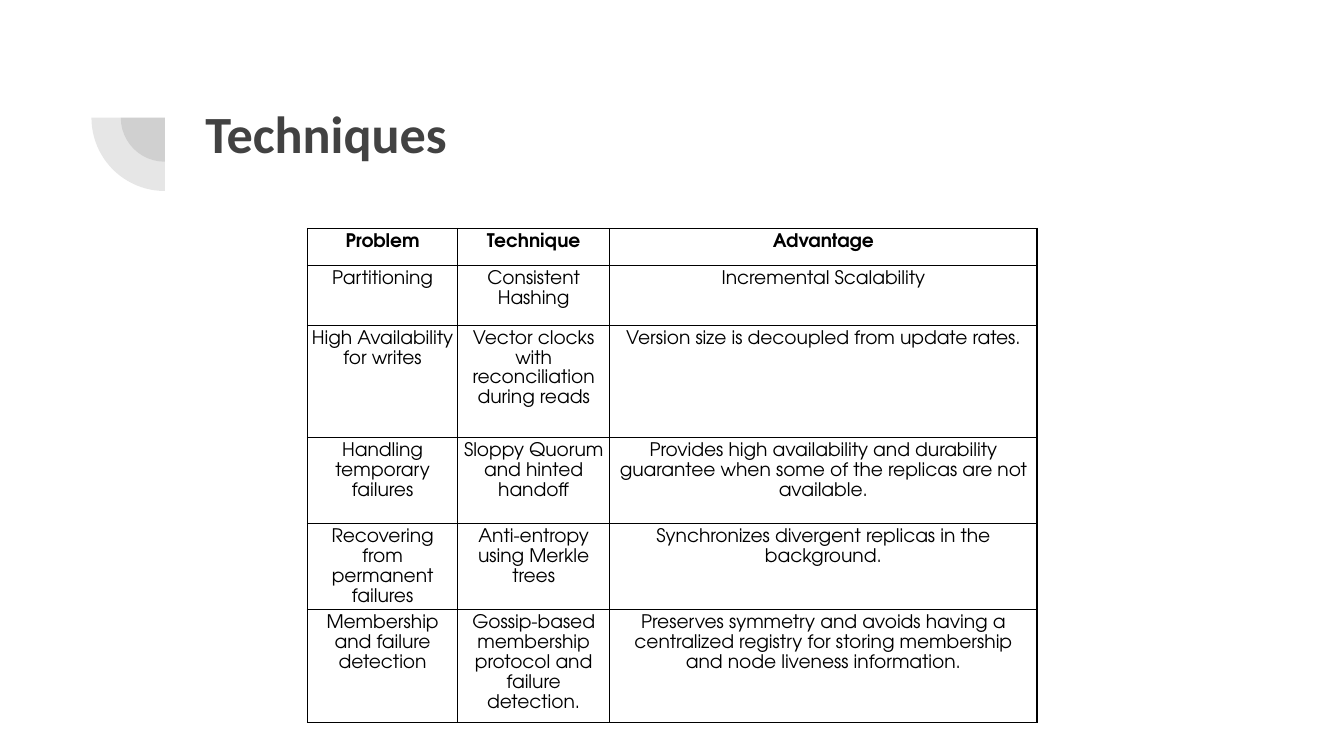
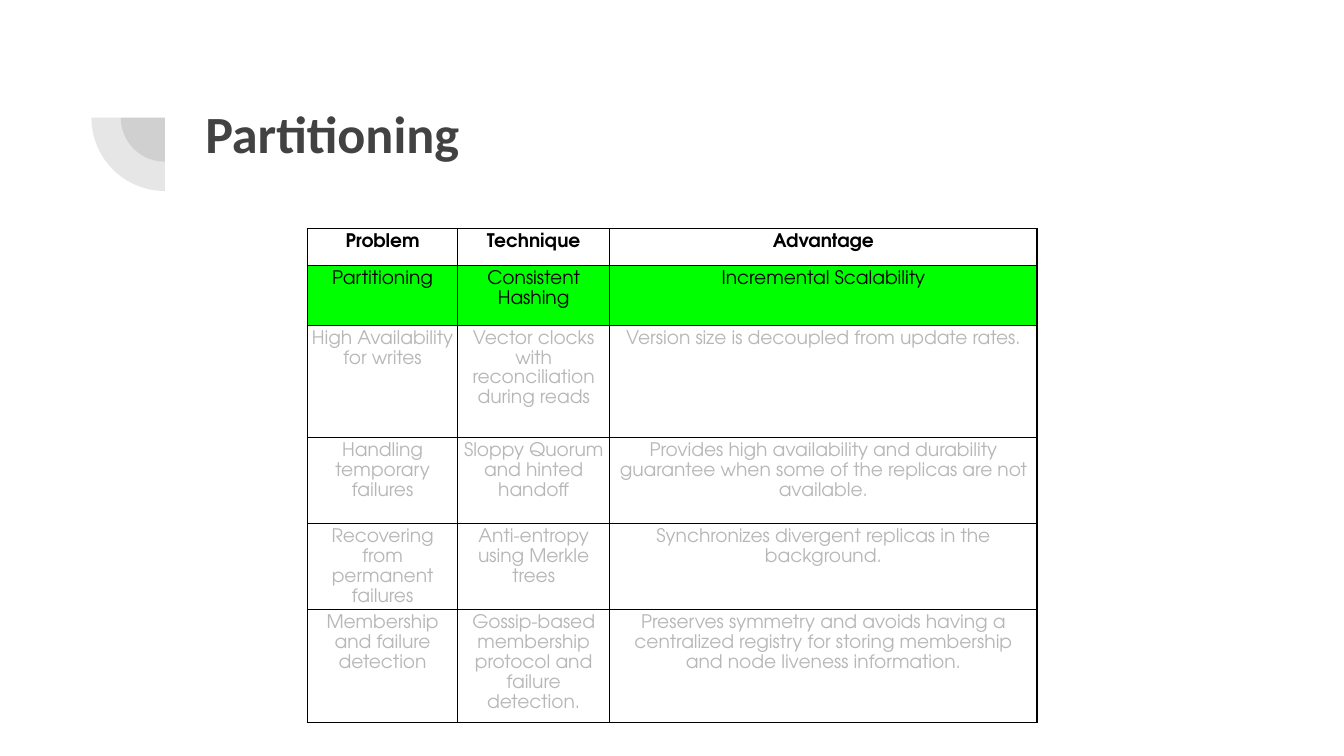
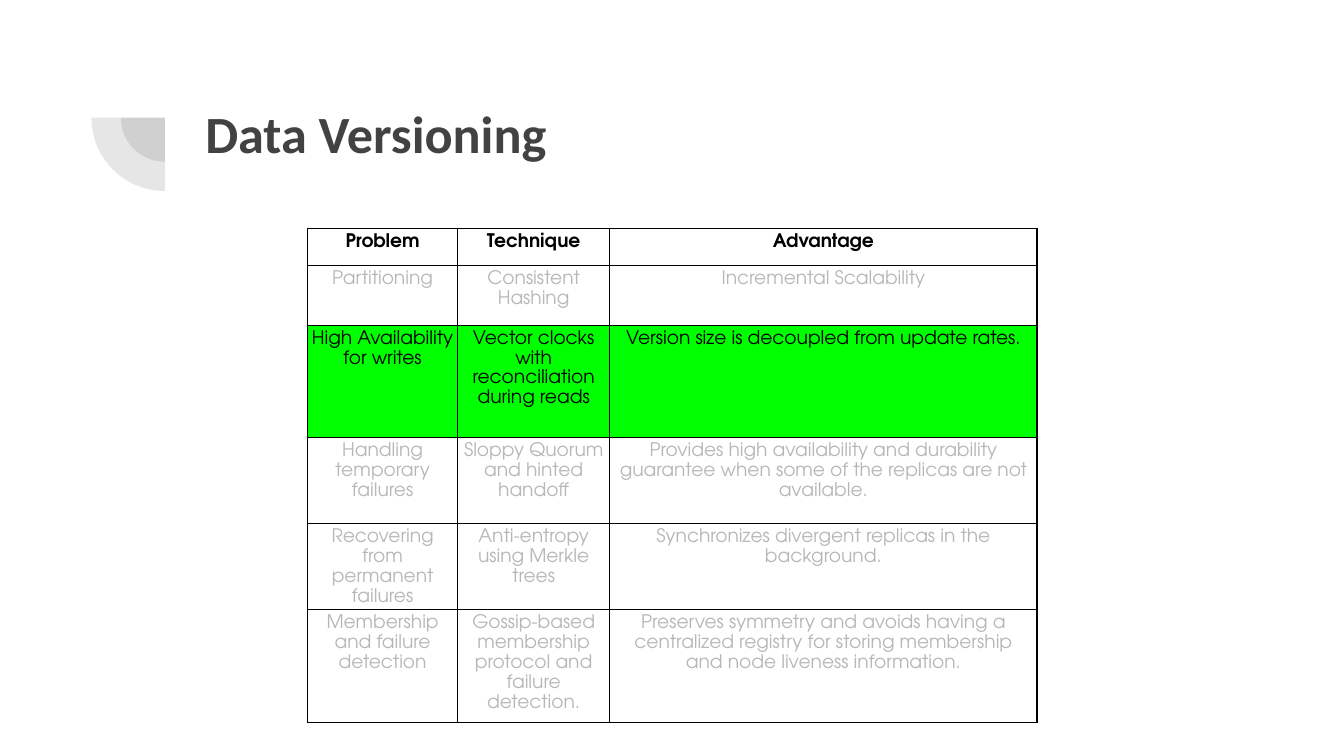
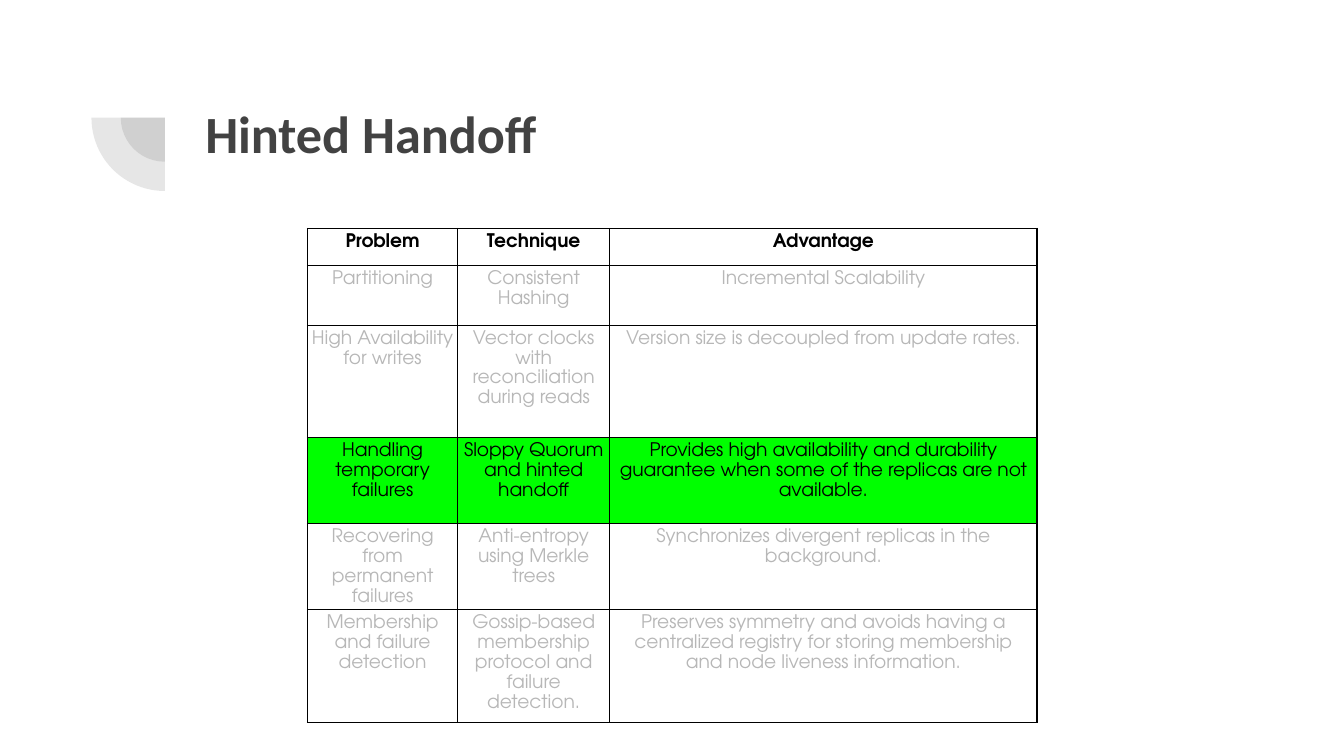
from dataclasses import dataclass

from lxml import etree
from pptx import Presentation
from pptx.dml.color import RGBColor
from pptx.enum.shapes import MSO_SHAPE
from pptx.enum.text import MSO_ANCHOR, PP_ALIGN
from pptx.oxml.ns import qn
from pptx.util import Cm, Pt

PIE = MSO_SHAPE.PIE
TOP = MSO_ANCHOR.TOP
LEFT = PP_ALIGN.LEFT
MID = PP_ALIGN.CENTER


@dataclass(frozen=True)
class Theme:
    """Colours, fonts and type sizes of the deck."""
    ink: str = "424242"
    text: str = "000000"
    faint: str = "B7B7B7"
    mark: str = "00FF00"
    head: str = "Calibri"
    body: str = "TeX Gyre Adventor"
    big: float = 28
    small: float = 10
    pitch: float = 10.65
    rule: float = 0.75
    alpha: int = 13


THEME = Theme()
PAGE = (25.4, 14.29)
BADGE = (1.73, 0.84, 2.77, 2.77)
TITLE = (3.63, 1.67, 19.53, 2.77)
COLS = (2.84, 2.87, 8.08)
ROWS = (0.7, 1.13, 2.12, 1.63, 1.63, 2.13)
GRID = (5.81, 4.32, sum(COLS), sum(ROWS))
ARCS = ((0.2, 0.2, 0.6), (0, 0, 1))

INSET = {f"margin_{side}": Cm(0.25) for side in ("left", "right", "top", "bottom")}
FRAME = INSET | {"word_wrap": True, "vertical_anchor": TOP}
CELL = {
    "margin_left": Cm(0.08), "margin_right": Cm(0.08),
    "margin_top": Cm(0.05), "margin_bottom": Cm(0.05),
    "vertical_anchor": TOP,
}
PLAIN = {"first_row": False, "horz_banding": False}

DATA = (
    ("Problem", "Technique", "Advantage"),
    ("Partitioning", "Consistent Hashing", "Incremental Scalability"),
    ("High Availability for writes",
     "Vector clocks with reconciliation during reads",
     "Version size is decoupled from update rates."),
    ("Handling temporary failures",
     "Sloppy Quorum and hinted handoff",
     "Provides high availability and durability guarantee when some of "
     "the replicas are not available."),
    ("Recovering from permanent failures",
     "Anti-entropy using Merkle trees",
     "Synchronizes divergent replicas in the background."),
    ("Membership and failure detection",
     "Gossip-based membership protocol and failure detection.",
     "Preserves symmetry and avoids having a centralized registry for "
     "storing membership and node liveness information."),
)

SLIDES = (
    ("Techniques", None),
    ("Partitioning", 1),
    ("Data Versioning", 2),
    ("Hinted Handoff", 3),
)


def dress(item, values):
    """Set each attribute named in values on the item."""
    for name, value in values.items():
        setattr(item, name, value)


def write(frame, text, font, tone, para):
    """Put one formatted paragraph into a text frame."""
    line = frame.paragraphs[0]
    dress(line, para)
    run = line.add_run()
    run.text = text
    dress(run.font, font)
    run.font.color.rgb = RGBColor.from_string(tone)


def draw_badge(slide, box):
    """Draw the two concentric quarter rings in the box."""
    left, top, size, _ = box
    group = slide.shapes.add_group_shape()
    for dx, dy, part in ARCS:
        arc = group.shapes.add_shape(
            PIE, Cm(left + dx * size), Cm(top + dy * size),
            Cm(part * size), Cm(part * size))
        arc.adjustments[0] = 107.93
        arc.adjustments[1] = 162
        arc.rotation = 270
        arc.shadow.inherit = False
        arc.line.fill.background()
        arc.fill.solid()
        arc.fill.fore_color.rgb = RGBColor.from_string(THEME.ink)
        tint = arc.element.spPr.find(f"{qn('a:solidFill')}/{qn('a:srgbClr')}")
        etree.SubElement(tint, qn("a:alpha"), val=str(THEME.alpha * 1000))


def draw_title(slide, box, text):
    """Write the slide title in the box."""
    frame = slide.shapes.add_textbox(*map(Cm, box)).text_frame
    dress(frame, FRAME)
    font = {"name": THEME.head, "size": Pt(THEME.big), "bold": True}
    write(frame, text, font, THEME.ink, {"alignment": LEFT})


def rule_cell(cell):
    """Give a cell a thin line on all four sides."""
    props = cell._tc.get_or_add_tcPr()
    for spot, side in enumerate("LRTB"):
        line = etree.Element(qn(f"a:ln{side}"), w=str(Pt(THEME.rule)))
        fill = etree.SubElement(line, qn("a:solidFill"))
        etree.SubElement(fill, qn("a:srgbClr"), val=THEME.text)
        props.insert(spot, line)


def draw_grid(slide, box, focus):
    """Fill the box with the table, marking the focus row if any."""
    table = slide.shapes.add_table(len(ROWS), len(COLS), *map(Cm, box)).table
    dress(table, PLAIN)
    for col, width in zip(table.columns, COLS):
        col.width = Cm(width)
    for row, height in zip(table.rows, ROWS):
        row.height = Cm(height)
    para = {"alignment": MID, "line_spacing": Pt(THEME.pitch)}
    for r, texts in enumerate(DATA):
        font = {"name": THEME.body, "size": Pt(THEME.small), "bold": r == 0}
        tone = THEME.text if focus is None or r in (0, focus) else THEME.faint
        for c, text in enumerate(texts):
            cell = table.cell(r, c)
            dress(cell, CELL)
            if r == focus:
                cell.fill.solid()
                cell.fill.fore_color.rgb = RGBColor.from_string(THEME.mark)
            else:
                cell.fill.background()
            rule_cell(cell)
            write(cell.text_frame, text, font, tone, para)


def main():
    """Build the deck and save it."""
    deck = Presentation()
    deck.slide_width, deck.slide_height = map(Cm, PAGE)
    blank = deck.slide_layouts[6]
    for title, focus in SLIDES:
        slide = deck.slides.add_slide(blank)
        draw_badge(slide, BADGE)
        draw_title(slide, TITLE, title)
        draw_grid(slide, GRID, focus)
    deck.save("out.pptx")


if __name__ == "__main__":
    main()
